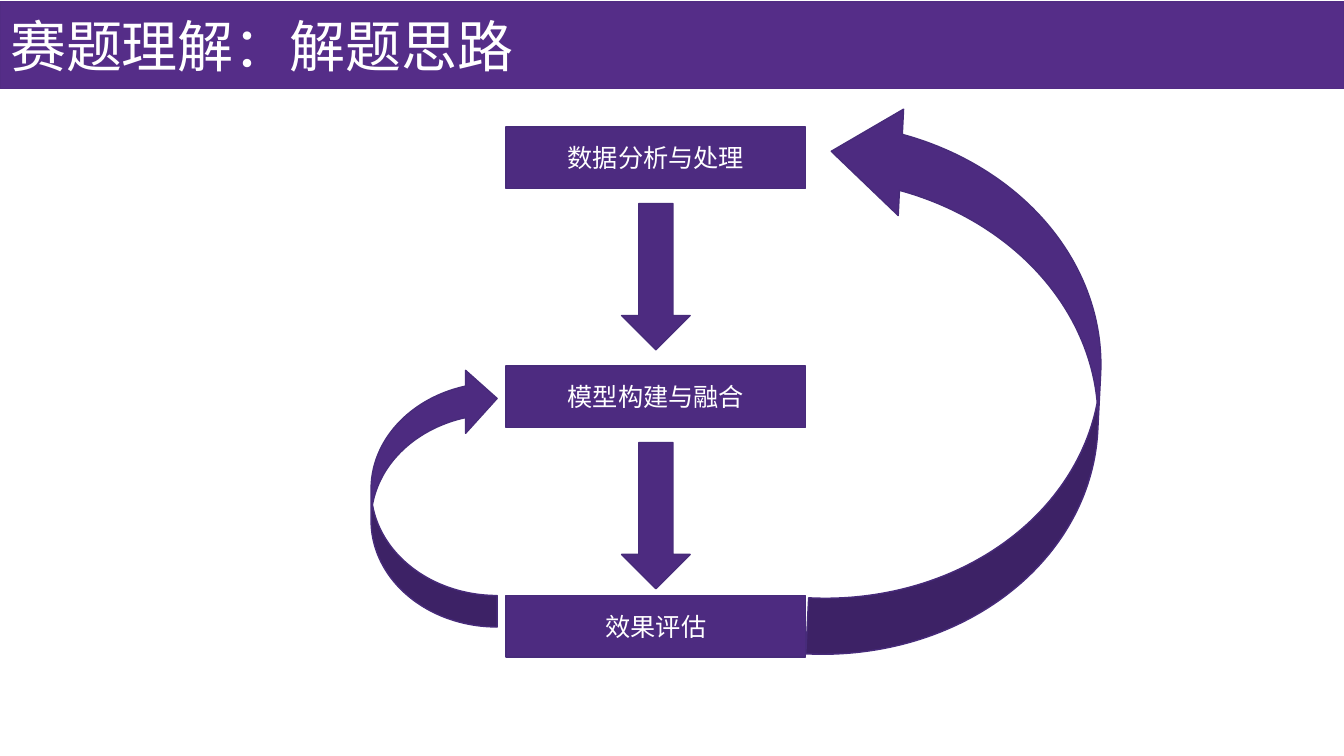
from dataclasses import dataclass

from pptx import Presentation
from pptx import util as u
from pptx.dml.color import RGBColor
from pptx.enum import shapes, text
from pptx.oxml.ns import qn

Inches = u.Inches
Preset = shapes.MSO_SHAPE


@dataclass(frozen=True)
class Theme:
    font: str = "Noto Sans CJK SC"
    white: str = "FFFFFF"
    band: str = "552D88"
    band_line: str = "522C84"
    step: str = "4D2B80"
    step_line: str = "472B7A"
    title_size: int = 40
    step_size: int = 18
    line_width: int = 1


THEME = Theme()


def apply_format(target, values):
    for name, value in values.items():
        setattr(target, name, value)


def write(frame, wording, size, align, margins):
    apply_format(frame, {
        "word_wrap": True,
        "auto_size": text.MSO_AUTO_SIZE.NONE,
        "vertical_anchor": text.MSO_ANCHOR.MIDDLE,
        **margins,
    })
    paragraph = frame.paragraphs[0]
    paragraph.alignment = align
    run = paragraph.add_run()
    run.text = wording
    apply_format(run.font, {"name": THEME.font, "size": u.Pt(size)})
    run.font.color.rgb = RGBColor.from_string(THEME.white)
    east_asian = run.font._element.makeelement(qn("a:ea"), {"typeface": THEME.font})
    run.font._element.find(qn("a:latin")).addnext(east_asian)


def add_block(slide, preset, box, fill=THEME.step, line=THEME.step_line):
    block = slide.shapes.add_shape(preset, *map(Inches, box))
    block.shadow.inherit = False
    block.fill.solid()
    block.fill.fore_color.rgb = RGBColor.from_string(fill)
    block.line.color.rgb = RGBColor.from_string(line)
    block.line.width = u.Pt(THEME.line_width)
    return block


def draw_header(slide, box, wording):
    left, top, width, height = box
    add_block(slide, Preset.FLOWCHART_PROCESS, box, THEME.band, THEME.band_line)
    heading = slide.shapes.title
    slide.shapes._spTree.append(heading._element)
    apply_format(heading, {
        "left": Inches(left),
        "top": Inches(top + 0.04),
        "width": Inches(5.66),
        "height": Inches(height - 0.09),
    })
    write(heading.text_frame, wording, THEME.title_size, text.PP_ALIGN.LEFT, {
        "margin_left": Inches(0.1), "margin_right": Inches(0),
        "margin_top": Inches(0.05), "margin_bottom": Inches(0.05),
    })


def draw_steps(slide, box, steps):
    left, top, width, height = box
    step_height, gap = 0.61, 0.15
    arrow_width, arrow_height = 0.68, 1.45
    for wording, offset in steps:
        step_top = top + offset
        step = add_block(slide, Preset.FLOWCHART_PROCESS, (left, step_top, width, step_height))
        write(step.text_frame, wording, THEME.step_size, text.PP_ALIGN.CENTER, {})
        if offset + step_height < height:
            add_block(slide, Preset.DOWN_ARROW, (
                left + (width - arrow_width) / 2, step_top + step_height + gap,
                arrow_width, arrow_height,
            ))


def draw_return_arrow(slide, box, rotation, adjustments=(), mirrored=False):
    arrow = add_block(slide, Preset.CURVED_RIGHT_ARROW, box)
    arrow.rotation = rotation
    for index, value in enumerate(adjustments):
        arrow.adjustments[index] = value
    if mirrored:
        arrow._element.spPr.find(qn("a:xfrm")).set("flipH", "1")


def main():
    deck = Presentation()
    apply_format(deck, {"slide_width": Inches(13.33), "slide_height": Inches(7.5)})
    slide = deck.slides.add_slide(deck.slide_layouts[5])
    draw_header(slide, (0, 0.02, 13.33, 0.86), "赛题理解：解题思路")
    draw_steps(slide, (5.02, 1.26, 2.97, 5.26), [
        ("数据分析与处理", 0), ("模型构建与融合", 2.37), ("效果评估", 4.65),
    ])
    draw_return_arrow(slide, (8.13, 1.04, 2.78, 5.52), 182.9, (0.2, 0.38, 0.25))
    draw_return_arrow(slide, (3.68, 3.64, 1.25, 2.58), 180, mirrored=True)
    deck.save("out.pptx")


if __name__ == "__main__":
    main()
